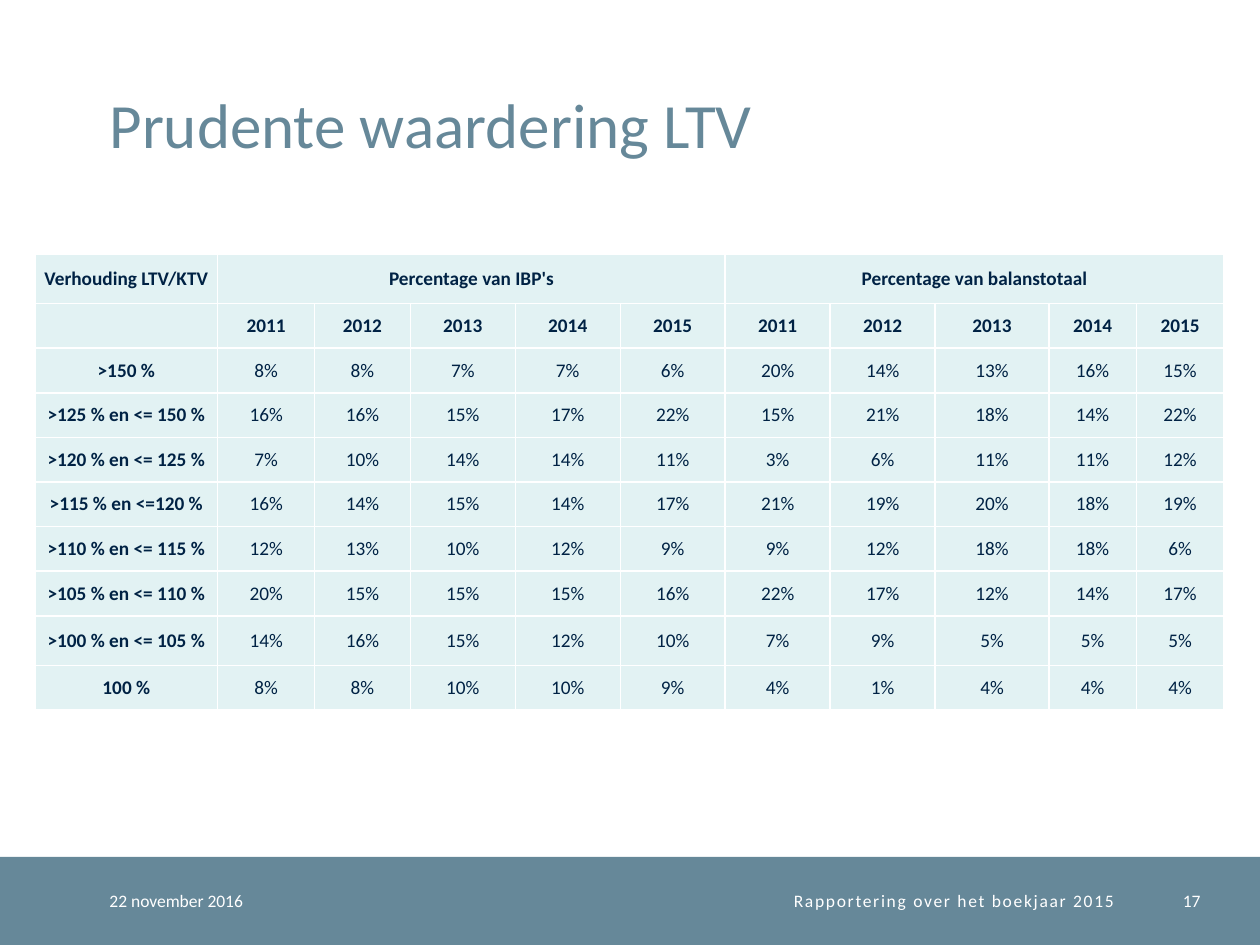
"""Builds the slide with the LTV valuation table of pension institutions."""
from pptx import Presentation
from pptx.dml.color import RGBColor
from pptx.enum import shapes, text
from pptx.util import Pt

SLATE, NAVY, PALE, WHITE = "668899", "002244", "E2F2F3", "FFFFFF"


def style(paragraph, size, colour, align, bold=False):
    paragraph.alignment = align
    for run in paragraph.runs:
        run.font.name = "Calibri"
        run.font.size = Pt(size)
        run.font.bold = bold
        run.font.color.rgb = RGBColor.from_string(colour)


def set_frame(frame, anchor):
    frame.margin_left = frame.margin_right = frame.margin_top = frame.margin_bottom = 0
    frame.vertical_anchor = anchor
    frame.word_wrap = True
    frame.auto_size = text.MSO_AUTO_SIZE.NONE


LEFT, CENTER, RIGHT = text.PP_ALIGN.LEFT, text.PP_ALIGN.CENTER, text.PP_ALIGN.RIGHT
MIDDLE = text.MSO_ANCHOR.MIDDLE

deck = Presentation()
deck.slide_width, deck.slide_height = Pt(720), Pt(540)
slide = deck.slides.add_slide(deck.slide_layouts[5])

footer_top, footer_height = Pt(489.6), Pt(50.4)
footer_band = slide.shapes.add_shape(
    shapes.MSO_SHAPE.RECTANGLE, 0, footer_top, Pt(720), footer_height)
footer_band.shadow.inherit = False
footer_band.fill.solid()
footer_band.fill.fore_color.rgb = RGBColor.from_string(SLATE)
footer_band.line.fill.background()

title = slide.shapes.title
title.left, title.top, title.width, title.height = Pt(62.6), Pt(14.4), Pt(621.4), Pt(77.8)
set_frame(title.text_frame, text.MSO_ANCHOR.BOTTOM)
title.text_frame.text = "Prudente waardering LTV"
heading = title.text_frame.paragraphs[0]
heading.line_spacing = Pt(32)
style(heading, 36, SLATE, LEFT)

footer_items = [
    ("22 november 2016", 62.6, 127.4, LEFT, 0),
    ("Rapportering over het boekjaar 2015", 190, 446.6, RIGHT, 100),
    ("17", 651, 35, RIGHT, 0),
]
for wording, left, width, align, spacing in footer_items:
    frame = slide.shapes.add_textbox(
        Pt(left), footer_top, Pt(width), footer_height).text_frame
    set_frame(frame, MIDDLE)
    frame.text = wording
    style(frame.paragraphs[0], 10, WHITE, align)
    if spacing:
        frame.paragraphs[0].runs[0].font._element.set("spc", str(spacing))

years = ["2011", "2012", "2013", "2014", "2015"]
shares = [
    (">150 %", [8, 8, 7, 7, 6, 20, 14, 13, 16, 15]),
    (">125 % en <= 150 %", [16, 16, 15, 17, 22, 15, 21, 18, 14, 22]),
    (">120 % en <= 125 %", [7, 10, 14, 14, 11, 3, 6, 11, 11, 12]),
    (">115 % en <=120 %", [16, 14, 15, 14, 17, 21, 19, 20, 18, 19]),
    (">110 % en <= 115 %", [12, 13, 10, 12, 9, 9, 12, 18, 18, 6]),
    (">105 % en <= 110 %", [20, 15, 15, 15, 16, 22, 17, 12, 14, 17]),
    (">100 % en <= 105 %", [14, 16, 15, 12, 10, 7, 9, 5, 5, 5]),
    ("100 %", [8, 8, 10, 10, 9, 4, 1, 4, 4, 4]),
]
groups = ["Verhouding LTV/KTV", "Percentage van IBP's", *[""] * 4,
          "Percentage van balanstotaal", *[""] * 4]
rows = [groups, ["", *years, *years]]
rows += [[ratio, *[f"{share}%" for share in values]] for ratio, values in shares]
column_widths = [104.4, 55.4, 54.7] + [60] * 5 + [65, 50, 50]
row_heights = [28.3] + [25.5] * 7 + [28.3, 25.5]

table = slide.shapes.add_table(
    len(rows), len(column_widths), Pt(20), Pt(145.2),
    Pt(sum(column_widths)), Pt(sum(row_heights))).table
for column, width in zip(table.columns, column_widths):
    column.width = Pt(width)
for row, height in zip(table.rows, row_heights):
    row.height = Pt(height)
for first in (1, 6):
    table.cell(0, first).merge(table.cell(0, first + 4))

for r, row in enumerate(rows):
    for c, wording in enumerate(row):
        cell = table.cell(r, c)
        cell.fill.solid()
        cell.fill.fore_color.rgb = RGBColor.from_string(PALE)
        cell.margin_left = cell.margin_right = cell.margin_top = cell.margin_bottom = 0
        cell.vertical_anchor = MIDDLE
        if wording:
            cell.text_frame.text = wording
            style(cell.text_frame.paragraphs[0], 11, NAVY, CENTER, bold=r < 2 or c == 0)

deck.save("out.pptx")
